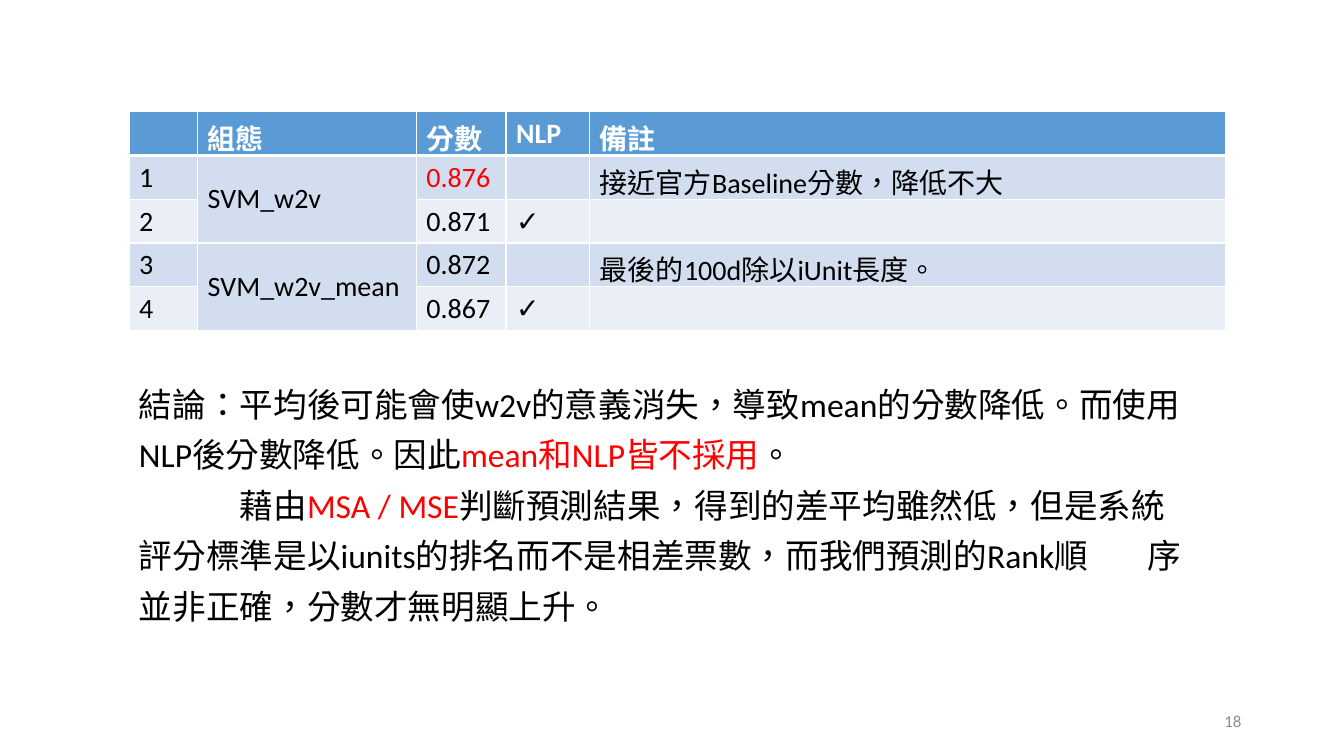
from typing import NamedTuple

from lxml import etree
from pptx import Presentation
from pptx.dml.color import RGBColor
from pptx.enum.lang import MSO_LANGUAGE_ID
from pptx.enum.text import MSO_ANCHOR, PP_ALIGN
from pptx.oxml.ns import qn
from pptx.util import Inches, Pt

MIDDLE, TOP = MSO_ANCHOR.MIDDLE, MSO_ANCHOR.TOP
LEFT, RIGHT = PP_ALIGN.LEFT, PP_ALIGN.RIGHT
CHINESE = MSO_LANGUAGE_ID.TRADITIONAL_CHINESE
FONT = "Calibri"
BLACK, WHITE, RED, GREY = "000000", "FFFFFF", "FF0000", "8C8C8C"
HEADER_FILL, ODD_FILL, EVEN_FILL = "5B9BD5", "D2DEEF", "EAEFF7"


class Words(NamedTuple):
    text: str
    color: str = BLACK


class Block(NamedTuple):
    left: float
    top: float
    width: float
    height: float
    size: int
    paragraphs: list
    align: PP_ALIGN = LEFT
    anchor: MSO_ANCHOR = TOP
    spacing: int | None = None


HEADINGS = ["", "組態", "分數", "NLP", "備註"]
RESULTS = [
    ["1", "SVM_w2v", "0.876", "", "接近官方Baseline分數，降低不大"],
    ["2", "", "0.871", "✓", ""],
    ["3", "SVM_w2v_mean", "0.872", "", "最後的100d除以iUnit長度。"],
    ["4", "", "0.867", "✓", ""],
]
BEST_SCORE = "0.876"
COLUMN_WIDTHS = [0.68, 2.17, 0.89, 0.83, 6.31]
ROW_HEIGHT = 0.43
CONFIG_COLUMN = 1

CONCLUSION = Block(1.28, 3.66, 10.85, 2.63, 24, [
    [Words("結論：平均後可能會使w2v的意義消失，導致mean的分數降低。而使用\tNLP後分數降低。因此"),
     Words("mean和NLP皆不採用", RED),
     Words("。")],
    [Words("\t藉由"),
     Words("MSA / MSE", RED),
     Words("判斷預測結果，得到的差平均雖然低，但是系統\t評分標準是以iunits的排名而不是相差票數，"
           "而我們預測的Rank順\t序並非正確，分數才無明顯上升。")],
], spacing=36)
PAGE_NUMBER = Block(9.41, 6.95, 3, 0.4, 12, [[Words("18", GREY)]], RIGHT, MIDDLE)


def rgb(color: str) -> RGBColor:
    """Turn a hex string into a colour."""
    return RGBColor.from_string(color)


def add_words(paragraph, words: Words, size: int, bold: bool = False) -> None:
    """Append one styled run to a paragraph."""
    run = paragraph.add_run()
    run.text = words.text
    run.font.name = FONT
    run.font.size = Pt(size)
    run.font.bold = bold
    run.font.language_id = CHINESE
    run.font.color.rgb = rgb(words.color)


def add_block(slide, block: Block) -> None:
    """Place a text block with its paragraphs and one-inch tab stops."""
    box = slide.shapes.add_textbox(*map(Inches, block[:4]))
    frame = box.text_frame
    frame.word_wrap = True
    frame.vertical_anchor = block.anchor
    for index, sentence in enumerate(block.paragraphs):
        paragraph = frame.add_paragraph() if index else frame.paragraphs[0]
        paragraph.alignment = block.align
        paragraph._p.get_or_add_pPr().set("defTabSz", str(Inches(1)))
        if block.spacing:
            paragraph.line_spacing = Pt(block.spacing)
        for words in sentence:
            add_words(paragraph, words, block.size)


def add_borders(cell, bottom_width: int) -> None:
    """Give a cell white borders with its own bottom width."""
    properties = cell._tc.get_or_add_tcPr()
    for side, width in zip("LRTB", (1, 1, 1, bottom_width)):
        line = etree.SubElement(properties, qn(f"a:ln{side}"), w=str(Pt(width)))
        solid = etree.SubElement(line, qn("a:solidFill"))
        etree.SubElement(solid, qn("a:srgbClr"), val=WHITE)


def add_scores(slide) -> None:
    """Build the score table with one merged configuration per pair of rows."""
    rows = [HEADINGS, *RESULTS]
    table = slide.shapes.add_table(
        len(rows), len(HEADINGS), Inches(1.28), Inches(1.11),
        Inches(sum(COLUMN_WIDTHS)), Inches(ROW_HEIGHT * len(rows))).table
    for column, width in zip(table.columns, COLUMN_WIDTHS):
        column.width = Inches(width)
    for r, row in enumerate(rows):
        is_header = r == 0
        fill = HEADER_FILL if is_header else ODD_FILL if r % 2 else EVEN_FILL
        for c, text in enumerate(row):
            cell = table.cell(r, c)
            add_borders(cell, 3 if is_header else 1)
            cell.fill.solid()
            cell.fill.fore_color.rgb = rgb(fill)
            if text:
                color = WHITE if is_header else RED if text == BEST_SCORE else BLACK
                add_words(cell.text_frame.paragraphs[0], Words(text, color), 20, is_header)
    for r in range(1, len(rows), 2):
        config = table.cell(r, CONFIG_COLUMN)
        config.merge(table.cell(r + 1, CONFIG_COLUMN))
        config.vertical_anchor = MIDDLE


def main() -> None:
    """Build and save the slide."""
    deck = Presentation()
    deck.slide_width, deck.slide_height = Inches(13.33), Inches(7.5)
    slide = deck.slides.add_slide(deck.slide_layouts[6])
    add_block(slide, PAGE_NUMBER)
    add_block(slide, CONCLUSION)
    add_scores(slide)
    deck.save("out.pptx")


main()
